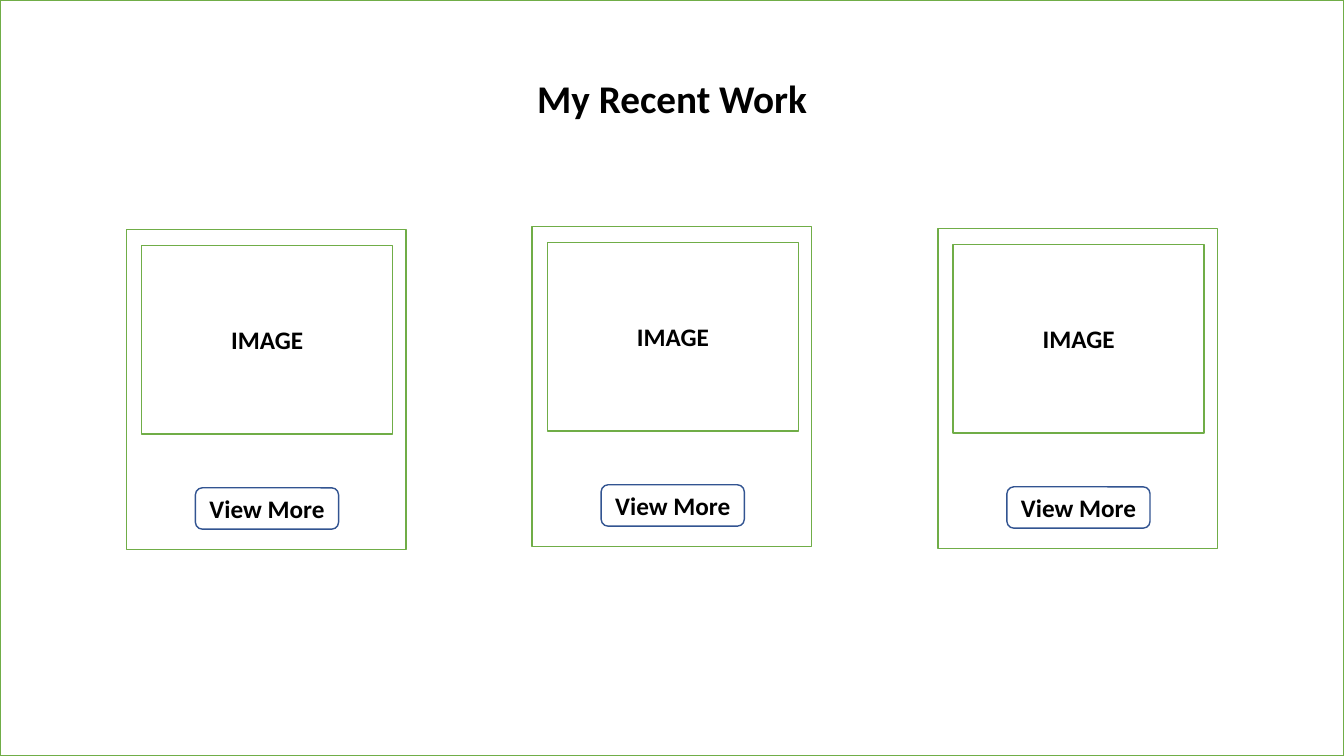
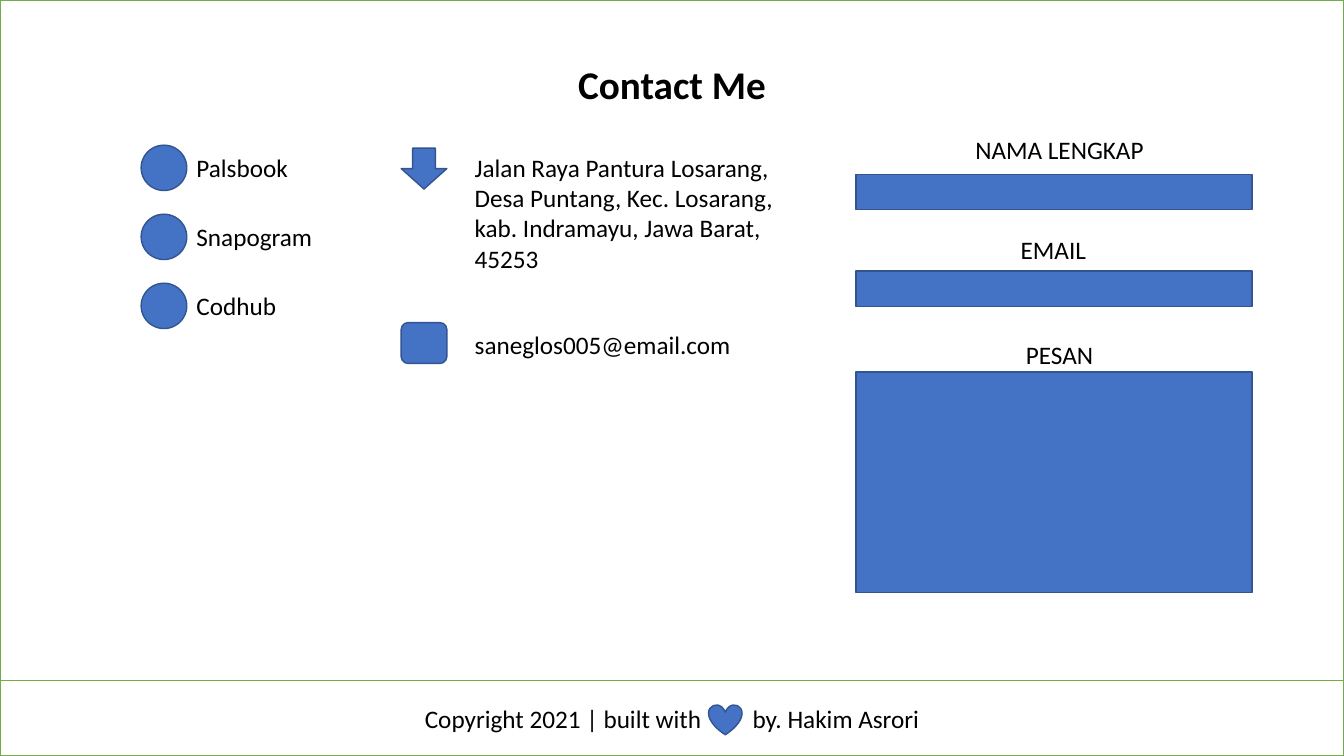
"""Build the recent work and contact slides of a portfolio."""
import pptx
import pptx.dml.color
import pptx.enum.shapes
import pptx.enum.text
import pptx.util

SHAPE = pptx.enum.shapes.MSO_SHAPE
ALIGN = pptx.enum.text.PP_ALIGN
ANCHOR = pptx.enum.text.MSO_ANCHOR

COLORS = {"paper": "FFFFFF", "ink": "000000", "frame": "70AD47", "accent": "4472C4", "edge": "325491"}
STYLES = {
    "panel": {"fill": "paper", "line": "frame"},
    "button": {"fill": "paper", "line": "edge"},
    "accent": {"fill": "accent", "line": "edge"},
}
FONTS = {
    "title": {"name": "Calibri", "size": pptx.util.Pt(28), "bold": True},
    "strong": {"name": "Calibri", "size": pptx.util.Pt(18), "bold": True},
    "body": {"name": "Calibri", "size": pptx.util.Pt(18), "bold": False},
}

SLIDE_WIDTH, SLIDE_HEIGHT = pptx.util.Inches(13.333), pptx.util.Inches(7.5)
COLUMN, ROW = SLIDE_WIDTH / 100, SLIDE_HEIGHT / 100
LINE_ROWS = 5.33

WORK_TITLE = {"text": "My Recent Work", "top": 9.2, "width": 22.88}
CARD_TOPS = [30.4, 30, 30.27]
CARD_WIDTH, CARD_HEIGHT, CARD_PITCH = 20.8, 42.27, 30.19
CARD_PARTS = [
    (SHAPE.RECTANGLE, "panel", "IMAGE", (1.13, 2.07, 18.68, 24.93)),
    (SHAPE.ROUNDED_RECTANGLE, "button", "View More", (5.13, 34.13, 10.65, 5.47)),
]

CONTACT_TITLE = {"text": "Contact Me", "top": 7.33, "width": 17.85}
NETWORKS = ["Palsbook", "Snapogram", "Codhub"]
NETWORK_TOP, NETWORK_PITCH = 19.2, 9.13
DETAILS = [
    (SHAPE.DOWN_ARROW, 19.6, 19.47, 24.68, 17.47,
     ["Jalan Raya Pantura Losarang,", "Desa Puntang, Kec. Losarang, kab. Indramayu, Jawa Barat, 45253"]),
    (SHAPE.ROUNDED_RECTANGLE, 42.67, 42.93, 20.63, LINE_ROWS, ["saneglos005@email.com"]),
]
FIELD_LEFT, FIELD_WIDTH = 63.68, 29.48
FIELDS = [
    {"label": "NAMA LENGKAP", "left": 71.18, "width": 15.3, "label_top": 17.07, "top": 23.07, "height": 4.67},
    {"label": "EMAIL", "left": 75.15, "width": 6.45, "label_top": 30.4, "top": 35.87, "height": 4.67},
    {"label": "PESAN", "left": 75.38, "width": 6.9, "label_top": 44.27, "top": 49.2, "height": 29.2},
]
FOOTER = ["Copyright 2021 | built with", " ", "by. Hakim Asrori"]
HEART_GAP = 3250


def place(left, top, width, height):
    return [round(length) for length in (left * COLUMN, top * ROW, width * COLUMN, height * ROW)]


def color(name):
    return pptx.dml.color.RGBColor.from_string(COLORS[name])


def apply(target, values):
    for name, value in values.items():
        setattr(target, name, value)


def add_run(paragraph, text, font):
    run = paragraph.add_run()
    run.text = text
    apply(run.font, FONTS[font])
    run.font.color.rgb = color("ink")
    return run


def add_shape(slide, kind, box, style, text=None):
    shape = slide.shapes.add_shape(kind, *place(*box))
    shape.shadow.inherit = False
    shape.fill.solid()
    shape.fill.fore_color.rgb = color(STYLES[style]["fill"])
    shape.line.color.rgb = color(STYLES[style]["line"])
    shape.line.width = pptx.util.Pt(1)
    shape.text_frame.vertical_anchor = ANCHOR.MIDDLE
    paragraph = shape.text_frame.paragraphs[0]
    paragraph.alignment = ALIGN.CENTER
    if text:
        add_run(paragraph, text, "strong")
    return shape


def add_text(slide, box, lines, font="body", alignment=ALIGN.LEFT, wrap=True):
    frame = slide.shapes.add_textbox(*place(*box)).text_frame
    apply(frame, {"word_wrap": wrap, "auto_size": pptx.enum.text.MSO_AUTO_SIZE.SHAPE_TO_FIT_TEXT})
    for index, line in enumerate(lines):
        paragraph = frame.add_paragraph() if index else frame.paragraphs[0]
        paragraph.alignment = alignment
        add_run(paragraph, line, font)


def add_page(presentation, title):
    slide = presentation.slides.add_slide(presentation.slide_layouts[6])
    add_shape(slide, SHAPE.RECTANGLE, (0, 0, 100, 100), "panel")
    box = (50 - title["width"] / 2, title["top"], title["width"], 7.6)
    add_text(slide, box, [title["text"]], "title", ALIGN.CENTER)
    return slide


def build_work(presentation):
    slide = add_page(presentation, WORK_TITLE)
    first_left = 50 - CARD_WIDTH / 2 - CARD_PITCH
    for index, top in enumerate(CARD_TOPS):
        left = first_left + index * CARD_PITCH
        add_shape(slide, SHAPE.RECTANGLE, (left, top, CARD_WIDTH, CARD_HEIGHT), "panel")
        for kind, style, text, (inset, drop, width, height) in CARD_PARTS:
            add_shape(slide, kind, (left + inset, top + drop, width, height), style, text)


def add_footer(slide):
    footer = add_shape(slide, SHAPE.RECTANGLE, (0, 90, 100, 10), "panel")
    paragraph = footer.text_frame.paragraphs[0]
    runs = [add_run(paragraph, text, "body") for text in FOOTER]
    runs[1]._r.get_or_add_rPr().set("spc", str(HEART_GAP))
    add_shape(slide, SHAPE.HEART, (52.73, 93.2, 2.48, 4), "accent")


def build_contact(presentation):
    slide = add_page(presentation, CONTACT_TITLE)
    for index, network in enumerate(NETWORKS):
        top = NETWORK_TOP + index * NETWORK_PITCH
        add_shape(slide, SHAPE.OVAL, (10.5, top, 3.4, 6), "accent")
        add_text(slide, (13.88, top + 0.3, 10.2, LINE_ROWS), [network])
    for kind, icon_top, text_top, width, height, lines in DETAILS:
        add_shape(slide, kind, (29.85, icon_top, 3.4, 5.4), "accent")
        add_text(slide, (34.58, text_top, width, height), lines)
    for field in FIELDS:
        label_box = (field["left"], field["label_top"], field["width"], LINE_ROWS)
        add_text(slide, label_box, [field["label"]], alignment=ALIGN.CENTER, wrap=False)
        add_shape(slide, SHAPE.RECTANGLE, (FIELD_LEFT, field["top"], FIELD_WIDTH, field["height"]), "accent")
    add_footer(slide)


def main():
    presentation = pptx.Presentation()
    apply(presentation, {"slide_width": SLIDE_WIDTH, "slide_height": SLIDE_HEIGHT})
    build_work(presentation)
    build_contact(presentation)
    presentation.save("out.pptx")


if __name__ == "__main__":
    main()
